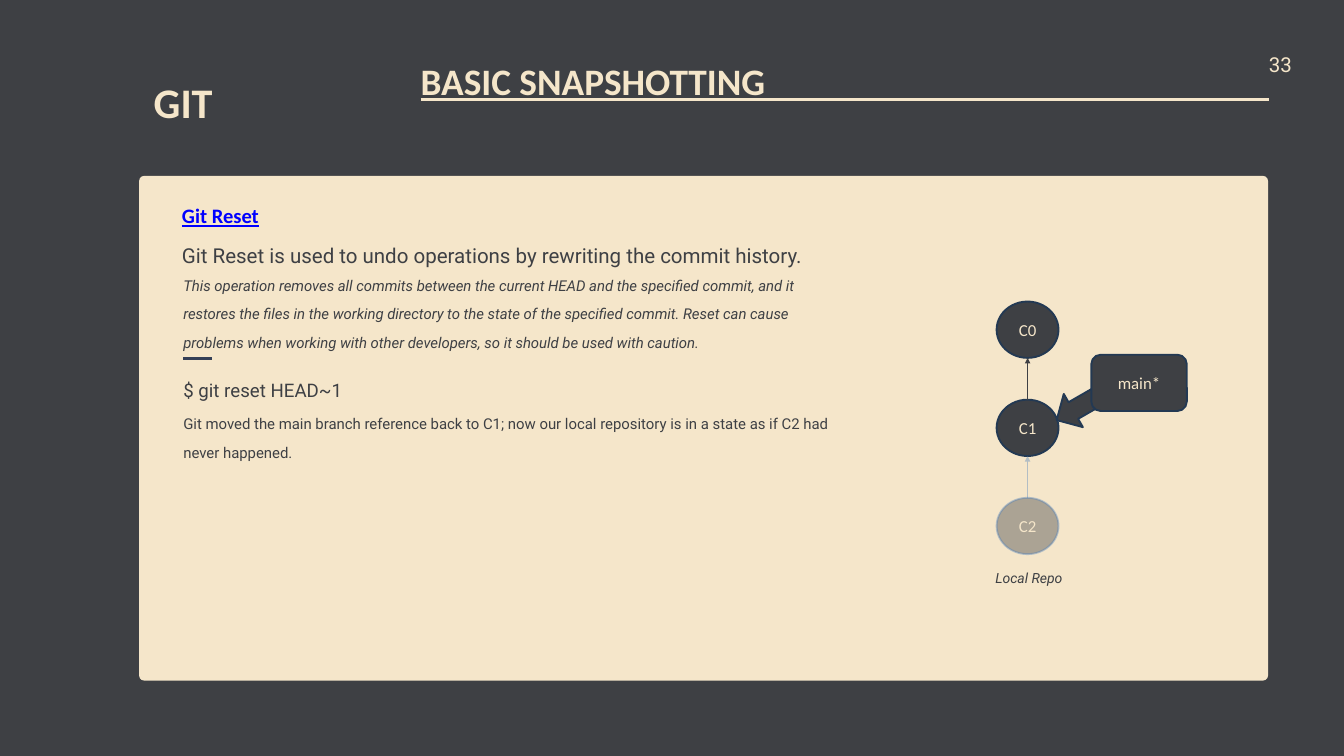
from dataclasses import dataclass

from lxml import etree
from pptx import Presentation
from pptx.dml.color import RGBColor
from pptx.enum.shapes import MSO_CONNECTOR, MSO_SHAPE
from pptx.enum.text import MSO_ANCHOR, PP_ALIGN
from pptx.oxml.ns import qn
from pptx.util import Cm, Pt

LEFT, CENTER, JUSTIFY = PP_ALIGN.LEFT, PP_ALIGN.CENTER, PP_ALIGN.JUSTIFY
OVAL, ROUNDED, ARROW = MSO_SHAPE.OVAL, MSO_SHAPE.ROUNDED_RECTANGLE, MSO_SHAPE.RIGHT_ARROW
STRAIGHT = MSO_CONNECTOR.STRAIGHT
MIDDLE = MSO_ANCHOR.MIDDLE


@dataclass(frozen=True)
class Theme:
    dark: str = "3E4044"
    cream: str = "F5E6CA"
    navy: str = "233953"
    slate: str = "343F56"
    blue: str = "4F81BD"
    link: str = "0000FF"
    heading_font: str = "Calibri"
    body_font: str = "Roboto"
    brand: float = 45.1
    title: int = 40
    lead: int = 22
    command: int = 20
    label: int = 18
    body: int = 16
    caption: int = 15
    faded: int = 40


T = Theme()


def write(tf, text, size, color=T.dark, font=T.body_font, align=LEFT,
          spacing=None, bold=None, italic=None, underline=None):
    tf.word_wrap = True
    p = tf.paragraphs[0]
    p.alignment = align
    if spacing:
        p.line_spacing = Pt(spacing)
    r = p.add_run()
    r.text = text
    r.font.name, r.font.size = font, Pt(size)
    r.font.bold, r.font.italic, r.font.underline = bold, italic, underline
    r.font.color.rgb = RGBColor.from_string(color)


def fade(parent):
    for color in parent.iter(qn("a:srgbClr")):
        etree.SubElement(color, qn("a:alpha"), val=str(T.faded * 1000))


prs = Presentation()
prs.slide_width, prs.slide_height = Cm(50.8), Cm(28.58)
s = prs.slides.add_slide(prs.slide_layouts[6])
s.background.fill.solid()
s.background.fill.fore_color.rgb = RGBColor.from_string(T.dark)

card = s.shapes.add_shape(ROUNDED, Cm(5.26), Cm(6.65), Cm(42.67), Cm(19.08))
card.shadow.inherit = False
card.adjustments[0] = 0.01
card.fill.solid()
card.fill.fore_color.rgb = RGBColor.from_string(T.cream)
card.line.fill.background()

heading = dict(font=T.heading_font, bold=True)
texts = [
    (15.9, 1.96, 32.03, 1.68, "BASIC SNAPSHOTTING", T.title,
     dict(heading, color=T.cream, spacing=55.1)),
    (5.26, 2.57, 3.33, 2.24, "GIT", T.brand,
     dict(heading, color=T.cream, align=CENTER, spacing=63.2)),
    (47.96, 1.8, 0.97, 1.02, "33", T.lead, dict(color=T.cream, spacing=30.8)),
    (6.88, 7.52, 10.26, 0.94, "Git Reset", T.lead,
     dict(heading, color=T.link, underline=True, spacing=30.8)),
    (6.88, 9.02, 39.04, 1.02,
     "Git Reset is used to undo operations by rewriting the commit history.",
     T.lead, dict(spacing=30.8)),
    (6.93, 10.03, 24.84, 3.18,
     "This operation removes all commits between the current HEAD and the specified commit, "
     "and it restores the files in the working directory to the state of the specified commit. "
     "Reset can cause problems when working with other developers, "
     "so it should be used with caution.",
     T.body, dict(italic=True, spacing=30.8)),
    (6.93, 14.2, 24.92, 0.91, "$ git reset HEAD~1", T.command,
     dict(align=JUSTIFY, spacing=28)),
    (6.93, 15.27, 24.84, 2.08,
     "Git moved the main branch reference back to C1; "
     "now our local repository is in a state as if C2 had never happened.",
     T.body, dict(spacing=30.8)),
    (36.78, 21.44, 4.22, 0.69, "Local Repo", T.caption,
     dict(italic=True, align=CENTER, spacing=21)),
]
for x, y, w, h, text, size, style in texts:
    tf = s.shapes.add_textbox(Cm(x), Cm(y), Cm(w), Cm(h)).text_frame
    tf.margin_left = tf.margin_top = tf.margin_right = tf.margin_bottom = 0
    write(tf, text, size, **style)

node_x, node_y, node_w, node_h, step = 37.67, 11.4, 2.34, 2.13, 3.71
center_x = node_x + node_w / 2
tops = [node_y + i * step for i in range(3)]

shapes = [(OVAL, node_x, top, node_w, node_h, 0, f"C{i}", i == 2)
          for i, top in enumerate(tops)]
shapes += [
    (ARROW, 39.8, 14.63, 2.11, 1.45, 150.1, "", False),
    (ROUNDED, 41.25, 13.41, 3.61, node_h, 0, "main*", False),
]
for kind, x, y, w, h, angle, text, faded in shapes:
    sp = s.shapes.add_shape(kind, Cm(x), Cm(y), Cm(w), Cm(h))
    sp.shadow.inherit = False
    sp.rotation = angle
    sp.fill.solid()
    sp.fill.fore_color.rgb = RGBColor.from_string(T.dark)
    sp.line.color.rgb = RGBColor.from_string(T.blue if faded else T.navy)
    sp.line.width = Pt(2)
    if faded:
        fade(sp.element.spPr)
    if text:
        sp.text_frame.vertical_anchor = MIDDLE
        write(sp.text_frame, text, T.label, T.cream, T.heading_font, CENTER)

lines = [
    (15.9, 3.76, 47.96, 3.76, T.cream, 3, False, False),
    (6.93, 13.54, 8.03, 13.54, T.slate, 3, False, False),
]
lines += [(center_x, top, center_x, top - step + node_h, color, 0.75, True, faded)
          for top, color, faded in zip(tops[1:], (T.dark, T.blue), (False, True))]
for x1, y1, x2, y2, color, width, arrow, faded in lines:
    line = s.shapes.add_connector(STRAIGHT, Cm(x1), Cm(y1), Cm(x2), Cm(y2))
    line.line.color.rgb = RGBColor.from_string(color)
    line.line.width = Pt(width)
    spPr = line.element.spPr
    if arrow:
        etree.SubElement(spPr.find(qn("a:ln")), qn("a:tailEnd"), type="triangle")
    if faded:
        fade(spPr)
    etree.SubElement(spPr, qn("a:effectLst"))

prs.save("out.pptx")
